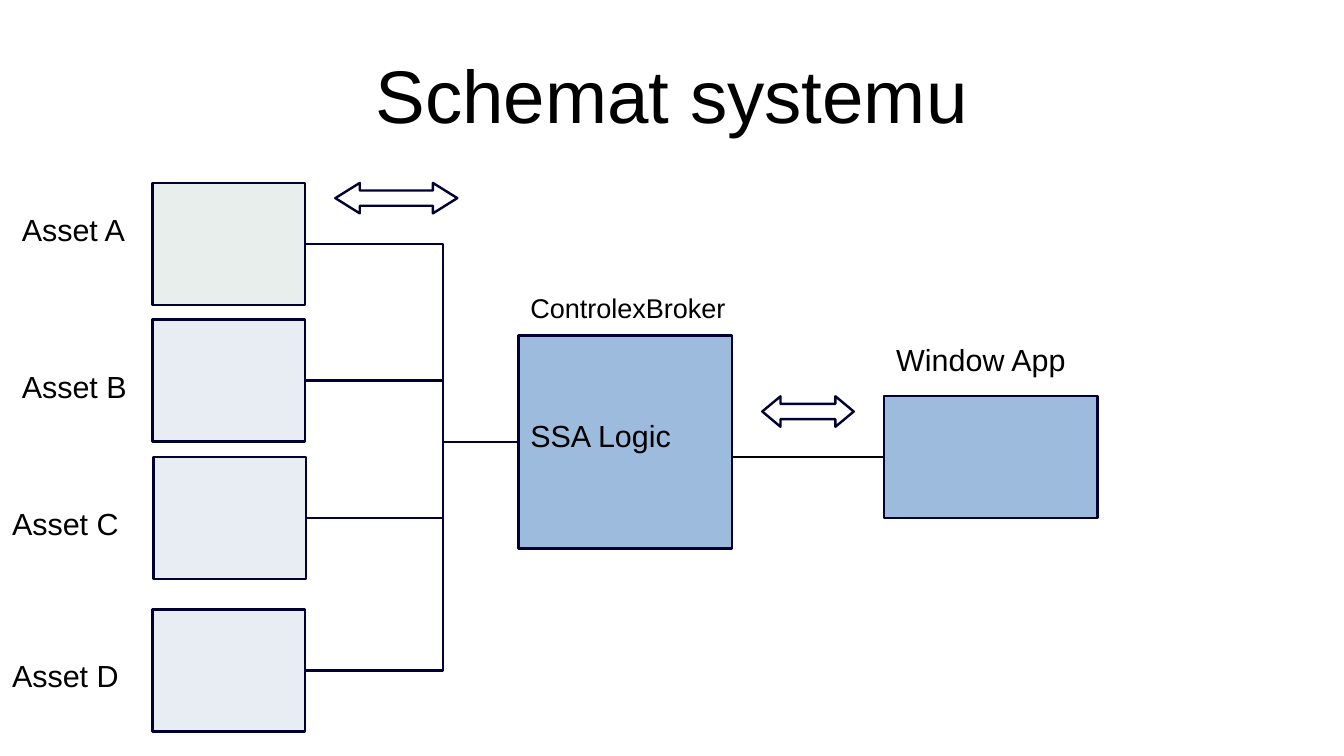
from dataclasses import dataclass
from lxml.etree import SubElement
from pptx import Presentation
from pptx.dml.color import RGBColor
from pptx.enum.shapes import MSO_CONNECTOR, MSO_SHAPE
from pptx.enum.text import MSO_ANCHOR, PP_ALIGN
from pptx.oxml.ns import qn
from pptx.util import Emu, Pt

SCALE = 9144
RIGHT, LEFT = 3, 1


def px(length):
    return Emu(length * SCALE)


@dataclass(frozen=True)
class Theme:
    font: str = "Arial"
    text: str = "000000"
    outline: str = "000032"
    component: str = "729FCF"
    asset: str = "DEE6EF"
    first_asset: str = "DEE7E5"
    arrow: str = "FFFFFF"
    title_size: int = 44
    label_size: int = 18
    small_size: int = 16
    line_width: float = 1.42
    opacity: int = 70


def write_text(frame, text, *, font, size, color, align=PP_ALIGN.LEFT):
    paragraph = frame.paragraphs[0]
    paragraph.alignment = align
    run = paragraph.add_run()
    run.text = text
    run.font.name = font
    run.font.size = Pt(size)
    run.font.color.rgb = RGBColor.from_string(color)


class Diagram:
    def __init__(self, slide, theme):
        self.slide = slide
        self.theme = theme

    def outline(self, line, color):
        line.color.rgb = RGBColor.from_string(color)
        line.width = Pt(self.theme.line_width)

    def title(self, text, left, top, width, height):
        frame = self.label(text, left, top, width, height, self.theme.title_size, PP_ALIGN.CENTER)
        frame.vertical_anchor = MSO_ANCHOR.MIDDLE
        frame.margin_left = frame.margin_right = frame.margin_top = frame.margin_bottom = 0

    def label(self, text, left, top, width=125, height=38, size=None, align=PP_ALIGN.LEFT):
        box = self.slide.shapes.add_textbox(px(left), px(top), px(width), px(height))
        frame = box.text_frame
        frame.word_wrap = True
        write_text(frame, text, font=self.theme.font, size=size or self.theme.label_size,
                   color=self.theme.text, align=align)
        return frame

    def shape(self, kind, left, top, width, height, color):
        shape = self.slide.shapes.add_shape(kind, px(left), px(top), px(width), px(height))
        shape.shadow.inherit = False
        shape.fill.solid()
        shape.fill.fore_color.rgb = RGBColor.from_string(color)
        fill_color = shape.fill._xPr.find(qn("a:solidFill"))[0]
        SubElement(fill_color, qn("a:alpha"), val=str(self.theme.opacity * 1000))
        self.outline(shape.line, self.theme.outline)
        return shape

    def box(self, left, top, width, height, color):
        return self.shape(MSO_SHAPE.RECTANGLE, left, top, width, height, color)

    def double_arrow(self, left, top, width, head):
        arrow = self.shape(MSO_SHAPE.LEFT_RIGHT_ARROW, left, top, width, 25, self.theme.arrow)
        arrow.adjustments[0] = 0.5
        arrow.adjustments[1] = head

    def connector(self, kind, begin, end, color):
        connector = self.slide.shapes.add_connector(kind, *map(px, begin + end))
        self.outline(connector.line, color)
        SubElement(connector._element.spPr, qn("a:effectLst"))
        return connector

    def elbow(self, source, target, trunk):
        connector = self.connector(MSO_CONNECTOR.ELBOW, (0, 0), (0, 0), self.theme.outline)
        connector.begin_connect(source, RIGHT)
        connector.end_connect(target, LEFT)
        share = (px(trunk) - connector.begin_x) / (connector.end_x - connector.begin_x)
        geometry = connector._element.spPr.find(qn("a:prstGeom"))
        guides = geometry.find(qn("a:avLst"))
        if guides is None:
            guides = SubElement(geometry, qn("a:avLst"))
        SubElement(guides, qn("a:gd"), name="adj1", fmla=f"val {round(share * 100000)}")


def main():
    presentation = Presentation()
    presentation.slide_width, presentation.slide_height = px(1102), px(620)
    theme = Theme()
    diagram = Diagram(presentation.slides.add_slide(presentation.slide_layouts[6]), theme)

    diagram.title("Schemat systemu", 55, 25, 992, 104)

    broker = diagram.box(425, 275, 175, 175, theme.component)
    diagram.label("ControlexBroker", 425, 234, width=225, size=theme.small_size)
    diagram.label("SSA Logic", 425, 337, width=150)

    assets = [
        ("Asset A", 8, 168, 125, 150, theme.first_asset),
        ("Asset B", 8, 297, 125, 262, theme.asset),
        ("Asset C", 0, 409, 126, 375, theme.asset),
        ("Asset D", 0, 534, 125, 500, theme.asset),
    ]
    for name, label_left, label_top, left, top, color in assets:
        asset = diagram.box(left, top, 125, 100, color)
        diagram.label(name, label_left, label_top)
        diagram.elbow(asset, broker, trunk=363)

    window = diagram.box(725, 325, 175, 100, theme.component)
    diagram.label("Window App", 725, 275, width=190)
    link = diagram.connector(MSO_CONNECTOR.STRAIGHT, (600, 375), (725, 375), theme.text)
    link.end_connect(window, LEFT)

    diagram.double_arrow(275, 150, 100, head=0.8)
    diagram.double_arrow(625, 325, 75, head=0.6)

    presentation.save("out.pptx")


if __name__ == "__main__":
    main()
